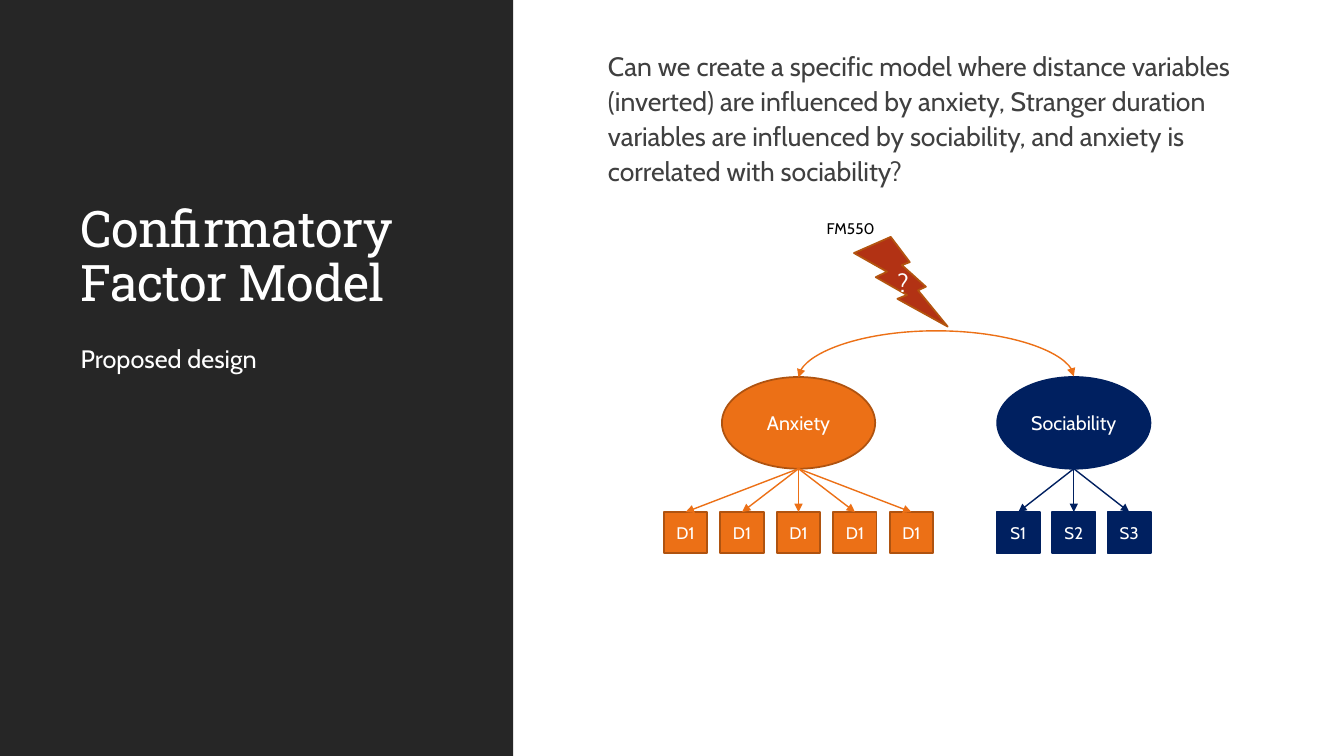
from pptx import Presentation
from pptx import util as u
from pptx.dml.color import RGBColor
from pptx.enum import shapes, text
from pptx.oxml.ns import qn
from lxml import etree

COLORS = {
    "panel": "262626",
    "white": "FFFFFF",
    "black": "000000",
    "body": "404040",
    "orange": "EC7016",
    "orange_edge": "AF5310",
    "navy": "002060",
    "bolt": "B23214",
    "bolt_edge": "B3540F",
}
HEADING_FONT = "Roboto Slab"
BODY_FONT = "Cabin"
FACTOR_TOP, FACTOR_WIDTH, FACTOR_HEIGHT = 3.74, 1.52, 0.91
ITEM_TOP, ITEM_WIDTH, ITEM_HEIGHT = 5.08, 0.43, 0.41


def color(name):
    return RGBColor.from_string(COLORS[name])


def inches(*lengths):
    return [u.Inches(length) for length in lengths]


def write(frame, wording, size, ink, font=BODY_FONT, align=text.PP_ALIGN.LEFT):
    paragraph = frame.paragraphs[0]
    paragraph.alignment = align
    run = paragraph.add_run()
    run.text = wording
    run.font.size = u.Pt(size)
    run.font.name = font
    run.font.bold = False
    run.font.color.rgb = color(ink)
    return paragraph


def fill_placeholder(holder, box, anchor, wording, size, ink, font=BODY_FONT):
    holder.left, holder.top, holder.width, holder.height = inches(*box)
    frame = holder.text_frame
    frame.word_wrap = True
    frame.auto_size = text.MSO_AUTO_SIZE.NONE
    frame.vertical_anchor = anchor
    return write(frame, wording, size, ink, font)


def space_body(paragraph):
    paragraph.line_spacing = 1.1
    paragraph.space_before = u.Pt(12)
    paragraph.space_after = u.Pt(2)


def add_blank_bullet(paragraph):
    properties = paragraph._p.get_or_add_pPr()
    properties.set("marL", str(u.Inches(0.1)))
    properties.set("indent", str(u.Inches(-0.1)))
    etree.SubElement(properties, qn("a:buChar")).set("char", " ")


def add_node(slide, kind, box, fill, edge, wording="", size=12):
    node = slide.shapes.add_shape(kind, *inches(*box))
    node.shadow.inherit = False
    node.fill.solid()
    node.fill.fore_color.rgb = color(fill)
    if edge:
        node.line.color.rgb = color(edge)
        node.line.width = u.Pt(1.25)
    else:
        node.line.fill.background()
    if wording:
        frame = node.text_frame
        frame.margin_left = frame.margin_right = 0
        frame.vertical_anchor = text.MSO_ANCHOR.MIDDLE
        write(frame, wording, size, "white", align=text.PP_ALIGN.CENTER)
    return node


def add_arrow(slide, kind, start, end, ink, ends=("tailEnd",)):
    arrow = slide.shapes.add_connector(kind, *inches(*start, *end))
    arrow.line.color.rgb = color(ink)
    arrow.line.width = u.Pt(1)
    outline = arrow.line._get_or_add_ln()
    for end_name in ends:
        etree.SubElement(outline, qn(f"a:{end_name}")).set("type", "triangle")
    etree.SubElement(arrow._element.spPr, qn("a:effectLst"))
    return arrow


def add_factor(slide, center, name, items, pitch, fill, edge):
    add_node(slide, shapes.MSO_SHAPE.OVAL,
             (center - FACTOR_WIDTH / 2, FACTOR_TOP, FACTOR_WIDTH, FACTOR_HEIGHT),
             fill, edge, name, 14)
    for index, item in enumerate(items):
        middle = center + (index - (len(items) - 1) / 2) * pitch
        indicator = add_node(slide, shapes.MSO_SHAPE.RECTANGLE,
                             (middle - ITEM_WIDTH / 2, ITEM_TOP, ITEM_WIDTH, ITEM_HEIGHT),
                             fill, edge, item)
        loading = add_arrow(slide, shapes.MSO_CONNECTOR.STRAIGHT,
                            (center, FACTOR_TOP + FACTOR_HEIGHT), (middle, ITEM_TOP), fill)
        loading.end_connect(indicator, 0)


def add_correlation(slide, left, right, rise):
    middle, half, thickness = (left + right) / 2, (right - left) / 2, 0.01
    arc = add_arrow(slide, shapes.MSO_CONNECTOR.CURVE,
                    (middle + thickness / 2, FACTOR_TOP + half),
                    (middle - thickness / 2, FACTOR_TOP - half),
                    "orange", ("headEnd", "tailEnd"))
    properties = arc._element.spPr
    properties.find(qn("a:xfrm")).set("rot", "5400000")
    adjustments = properties.find(qn("a:prstGeom")).get_or_add_avLst()
    bend = etree.SubElement(adjustments, qn("a:gd"))
    bend.set("name", "adj1")
    bend.set("fmla", f"val {round(rise / thickness * 100000)}")


def add_label(slide, box, wording):
    label = slide.shapes.add_textbox(*inches(*box))
    label.text_frame.word_wrap = True
    label.text_frame.auto_size = text.MSO_AUTO_SIZE.SHAPE_TO_FIT_TEXT
    write(label.text_frame, wording, 11, "black")


def main():
    deck = Presentation()
    deck.slide_width, deck.slide_height = inches(13.33, 7.5)
    slide = deck.slides.add_slide(deck.slide_layouts[7])
    title, question, subtitle = slide.placeholders

    panel = add_node(slide, shapes.MSO_SHAPE.RECTANGLE, (0, 0, 5.09, 7.5), "panel", None)
    slide.shapes._spTree.insert(2, panel._element)

    heading = fill_placeholder(title, (0.7, 0.86, 3.85, 2.29), text.MSO_ANCHOR.BOTTOM,
                               "Confirmatory Factor Model", 36, "white", HEADING_FONT)
    heading.line_spacing = 0.9
    heading.runs[0].font._element.set("spc", "-50")

    prompt = fill_placeholder(
        question, (5.93, 0.41, 6.48, 5.79), text.MSO_ANCHOR.TOP,
        "Can we create a specific model where distance variables (inverted) are "
        "influenced by anxiety, Stranger duration variables are influenced by "
        "sociability, and anxiety is correlated with sociability?", 19, "body")
    question.text_frame.margin_left = question.text_frame.margin_right = 0
    space_body(prompt)
    add_blank_bullet(prompt)

    space_body(fill_placeholder(subtitle, (0.7, 3.33, 3.85, 3.35), text.MSO_ANCHOR.TOP,
                                "Proposed design", 18, "white"))

    anxiety, sociability = 7.92, 10.65
    add_factor(slide, anxiety, "Anxiety", ["D1"] * 5, 0.56, "orange", "orange_edge")
    add_factor(slide, sociability, "Sociability", ["S1", "S2", "S3"], 0.55, "navy", "navy")
    add_correlation(slide, anxiety, sociability, 0.47)
    add_node(slide, shapes.MSO_SHAPE.LIGHTNING_BOLT, (8.47, 2.35, 0.93, 0.89),
             "bolt", "bolt_edge", "?", 18)
    add_label(slide, (8.1, 2.12, 0.71, 0.29), "FM550")

    deck.save("out.pptx")


if __name__ == "__main__":
    main()
